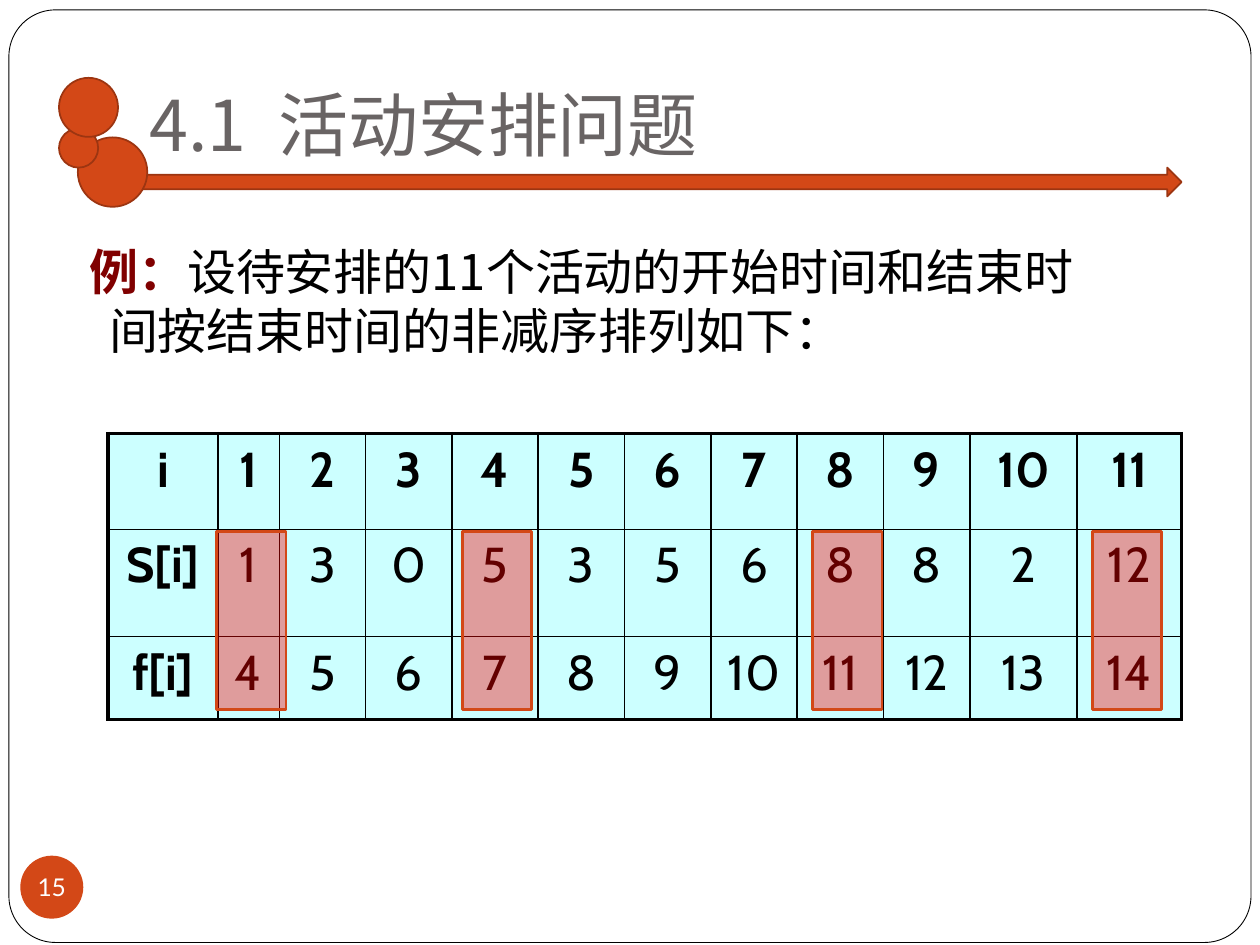
import pptx
import pptx.util
import pptx.dml.color
import pptx.enum.shapes
import pptx.enum.text
import pptx.oxml
import pptx.oxml.ns

Cm = pptx.util.Cm
Pt = pptx.util.Pt
Kind = pptx.enum.shapes.MSO_SHAPE
Align = pptx.enum.text.PP_ALIGN
Anchor = pptx.enum.text.MSO_ANCHOR
qn = pptx.oxml.ns.qn

HUES = {
    "white": "FFFFFF",
    "black": "000000",
    "orange": "D34817",
    "rust": "9C3511",
    "gray": "696464",
    "maroon": "800000",
    "cyan": "CCFFFF",
    "red": "FF0000",
}
HAN = "Noto Sans CJK SC"

ROWS = [
    ["i", "1", "2", "3", "4", "5", "6", "7", "8", "9", "10", "11"],
    ["S[i]", "1", "3", "0", "5", "3", "5", "6", "8", "8", "2", "12"],
    ["f[i]", "4", "5", "6", "7", "8", "9", "10", "11", "12", "13", "14"],
]
WIDTHS = [2.21, 1.24] + [1.74] * 8 + [2.16, 2.11]
HEIGHTS = [1.93, 2.16, 1.68]


def hue(name):
    return pptx.dml.color.RGBColor.from_string(HUES[name])


def place(box):
    return [Cm(n) for n in box]


def style(para, face, size, color=None, bold=False):
    font = para.font
    font.name = face
    font.size = Pt(size)
    font.bold = bold
    if color:
        font.color.rgb = hue(color)
    if face == HAN:
        east = pptx.oxml.parse_xml(
            f'<a:ea {pptx.oxml.ns.nsdecls("a")} typeface="{face}"/>')
        font._element.find(qn("a:latin")).addnext(east)


def add_form(slide, kind, box, fill, line=None, width=1):
    form = slide.shapes.add_shape(kind, *place(box))
    form.shadow.inherit = False
    form.fill.solid()
    form.fill.fore_color.rgb = hue(fill)
    if line:
        form.line.color.rgb = hue(line)
        form.line.width = Pt(width)
    else:
        form.line.fill.background()
    return form


def add_mark(slide, left):
    mark = add_form(slide, Kind.RECTANGLE, (left, 10.72, 1.4, 3.58),
                    "red", "orange", 1.5)
    color = mark.fill._xPr.find(qn("a:solidFill"))[0]
    color.append(pptx.oxml.parse_xml(
        f'<a:alpha {pptx.oxml.ns.nsdecls("a")} val="39000"/>'))


def add_frame(slide, box):
    frame = slide.shapes.add_textbox(*place(box)).text_frame
    frame.word_wrap = True
    return frame


def add_title(slide):
    frame = add_frame(slide, (2.77, 0.41, 21.59, 3.18))
    frame.vertical_anchor = Anchor.BOTTOM
    frame.margin_bottom = Cm(0.25)
    para = frame.paragraphs[0]
    style(para, HAN, 40, "gray")
    for text, gap in (("4.1", 0), (" ", 900), ("活动安排问题", 0)):
        run = para.add_run()
        run.text = text
        if gap:
            run._r.get_or_add_rPr().set("spc", str(gap))


def add_body(slide):
    para = add_frame(slide, (1.19, 4.75, 21, 3.02)).paragraphs[0]
    style(para, HAN, 28)
    para.space_before = Pt(5.8)
    props = para._p.get_or_add_pPr()
    props.set("marL", str(Cm(0.76)))
    props.set("indent", str(Cm(-0.4)))
    text = "设待安排的11个活动的开始时间和结束时间按结束时间的非减序排列如下："
    for words, color, bold in (("例：", "maroon", True), (text, "black", False)):
        run = para.add_run()
        run.text = words
        run.font.bold = bold
        run.font.color.rgb = hue(color)


def edge(cell, side, width):
    cell._tc.get_or_add_tcPr().append(pptx.oxml.parse_xml(
        f'<a:ln{side} {pptx.oxml.ns.nsdecls("a")} w="{Pt(width)}">'
        f'<a:solidFill><a:srgbClr val="{HUES["black"]}"/></a:solidFill>'
        f'</a:ln{side}>'))


def add_grid(slide):
    box = (2.18, 8.74, sum(WIDTHS), sum(HEIGHTS))
    grid = slide.shapes.add_table(len(ROWS), len(WIDTHS), *place(box)).table
    grid.first_row = False
    grid.horz_banding = False
    for col, width in zip(grid.columns, WIDTHS):
        col.width = Cm(width)
    for row, height in zip(grid.rows, HEIGHTS):
        row.height = Cm(height)
    for r, row in enumerate(ROWS):
        for c, text in enumerate(row):
            cell = grid.cell(r, c)
            outer = {"L": c == 0, "R": c == len(row) - 1,
                     "T": r == 0, "B": r == len(ROWS) - 1}
            for side, thick in outer.items():
                edge(cell, side, 2.25 if thick else 1)
            cell.fill.solid()
            cell.fill.fore_color.rgb = hue("cyan")
            cell.text = text
            para = cell.text_frame.paragraphs[0]
            para.alignment = Align.CENTER
            para.space_before = Pt(5.6)
            style(para, "Cabin", 28, "black", r == 0 or c == 0)


def add_badge(slide):
    badge = add_form(slide, Kind.OVAL, (0.41, 17.25, 1.27, 1.27), "orange")
    frame = badge.text_frame
    frame.margin_left = frame.margin_right = 0
    frame.margin_top = frame.margin_bottom = 0
    frame.word_wrap = False
    frame.vertical_anchor = Anchor.MIDDLE
    frame.text = "15"
    para = frame.paragraphs[0]
    para.alignment = Align.CENTER
    style(para, "Lato", 14, "white")


def add_decor(slide):
    panel = add_form(slide, Kind.ROUNDED_RECTANGLE, (0.18, 0.2, 25.04, 18.8),
                     "white", "black", 0.5)
    panel.adjustments[0] = 0.05
    add_form(slide, Kind.RIGHT_ARROW, (2.18, 3.38, 21.64, 0.58),
             "orange", "rust")
    for left, top, size in ((1.57, 2.77, 1.4), (1.19, 2.59, 0.79),
                            (1.19, 1.57, 1.19)):
        add_form(slide, Kind.OVAL, (left, top, size, size), "orange", "rust")


def main():
    deck = pptx.Presentation()
    deck.slide_width = Cm(25.4)
    deck.slide_height = Cm(19.05)
    slide = deck.slides.add_slide(deck.slide_layouts[6])
    add_decor(slide)
    add_title(slide)
    add_grid(slide)
    add_badge(slide)
    add_body(slide)
    for left in (4.37, 9.32, 16.38, 22.02):
        add_mark(slide, left)
    deck.save("out.pptx")


if __name__ == "__main__":
    main()
